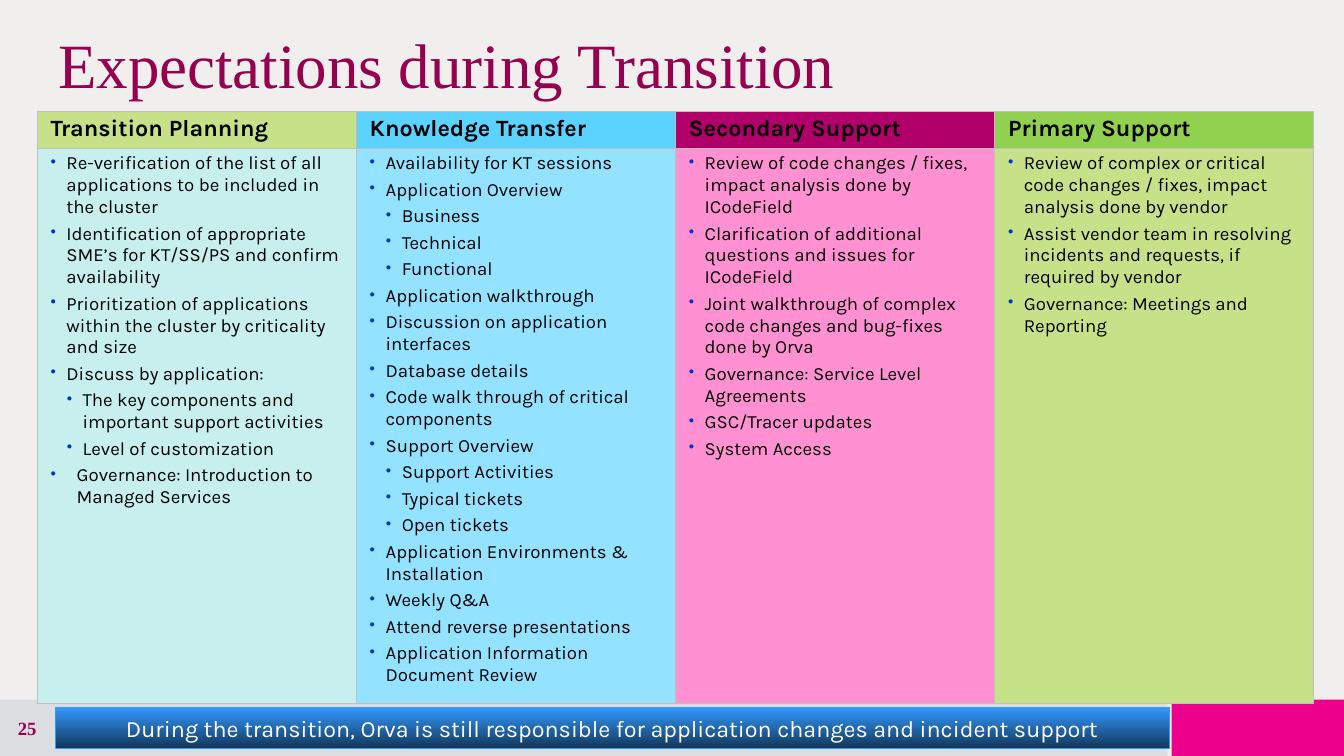
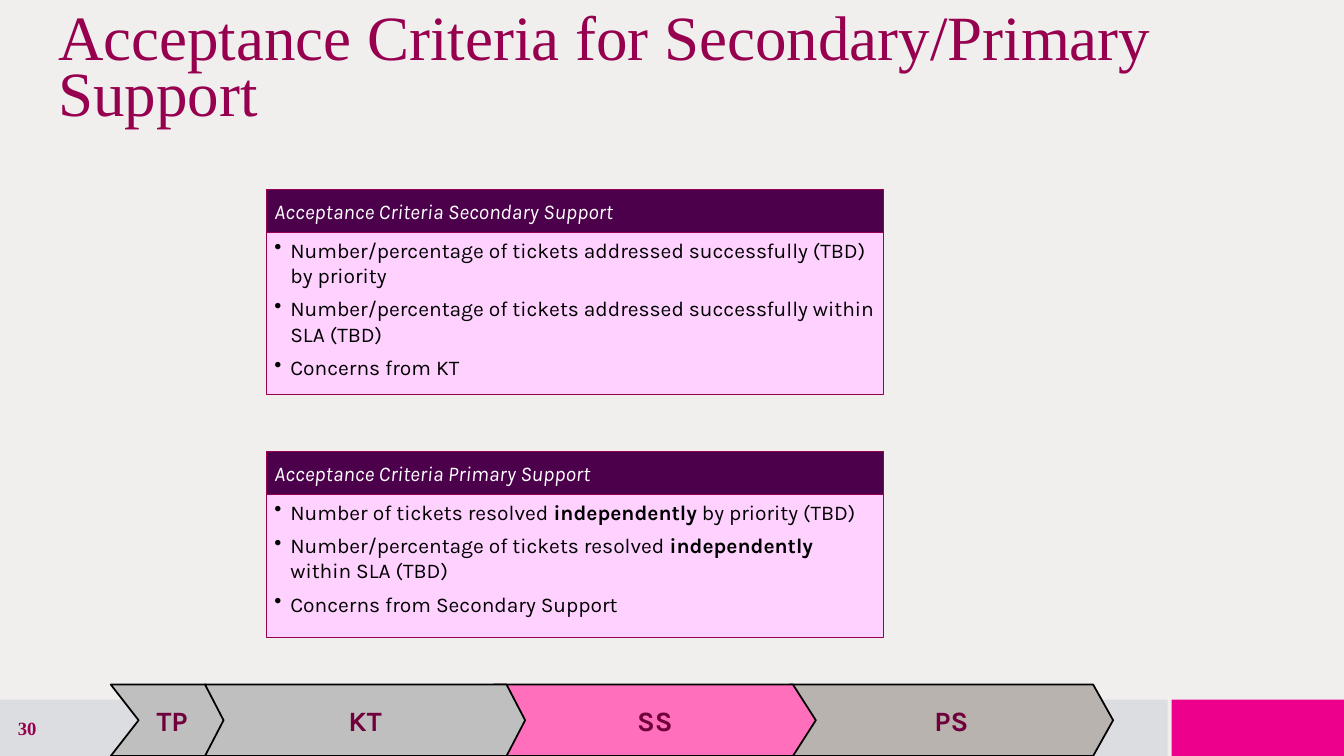
from lxml import etree
from pptx import Presentation
from pptx.dml.color import RGBColor
from pptx.enum.shapes import MSO_SHAPE
from pptx.enum.text import MSO_ANCHOR, PP_ALIGN
from pptx.oxml.ns import qn
from pptx.util import Cm, Pt

RECT, CHEVRON = MSO_SHAPE.RECTANGLE, MSO_SHAPE.CHEVRON
TOP, MIDDLE = MSO_ANCHOR.TOP, MSO_ANCHOR.MIDDLE
LEFT, CENTER = PP_ALIGN.LEFT, PP_ALIGN.CENTER
SERIF, SANS = "Times New Roman", "Karla"
BERRY, PLUM, BLACK, WHITE = "96004F", "4C004C", "000000", "FFFFFF"
BLUE, GREY = "3399FF", "BFBFBF"
BLANK_LAYOUT = 6
# Left margin and hanging indent of each bullet kind, in cm
INDENTS = {"main": (0.48, 0.48), "sub": (0.97, 0.48), "wide": (0.79, 0.79)}


def rgb(value):
    return RGBColor.from_string(value)


def add_xml(parent, tag, **attributes):
    return etree.SubElement(parent, qn(tag), attributes)


class Deck:
    def __init__(self):
        self.deck = Presentation()
        self.deck.slide_width, self.deck.slide_height = Cm(40.64), Cm(22.86)

    def start_page(self, title, number):
        self.page = self.deck.slides.add_slide(self.deck.slide_layouts[BLANK_LAYOUT])
        background = self.page.background.fill
        background.solid()
        background.fore_color.rgb = rgb("F0EFEE")
        # Footer bands
        self.shape(35.43, 21.16, 5.21, 1.7, "EC008C")
        self.shape(0, 21.16, 35.31, 1.7, "DCDDE0")
        # Title and page number
        para = self.label(1.35, 0.79, 38.07, 2.82, title, 54)
        para.line_spacing = Pt(48)
        para = self.label(0, 21.41, 1.65, 1.22, number, 16, bold=True)
        para.alignment = CENTER

    def label(self, left, top, width, height, text, size, bold=False):
        box = self.page.shapes.add_textbox(Cm(left), Cm(top), Cm(width), Cm(height))
        frame = self.frame(box, MIDDLE, 0.41, 0.2)
        para = frame.paragraphs[0]
        self.span(para, text, size, BERRY, SERIF, bold=bold)
        return para

    def frame(self, box, anchor, side=0.25, edge=0.13, wrap=True):
        frame = box.text_frame
        frame.word_wrap = wrap
        frame.vertical_anchor = anchor
        frame.margin_left = frame.margin_right = Cm(side)
        frame.margin_top = frame.margin_bottom = Cm(edge)
        return frame

    def span(self, para, text, size, color, font=SANS, bold=False, italic=False):
        span = para.add_run()
        span.text = text
        span.font.name, span.font.size = font, Pt(size)
        span.font.bold, span.font.italic = bold, italic
        span.font.color.rgb = rgb(color)

    def shape(self, left, top, width, height, fill, line=None, weight=0.75, kind=RECT):
        box = self.page.shapes.add_shape(kind, Cm(left), Cm(top), Cm(width), Cm(height))
        box.shadow.inherit = False
        if isinstance(fill, tuple):
            box.fill.gradient()
            box.fill.gradient_angle = 270
            for stop, color in zip(box.fill.gradient_stops, fill):
                stop.color.rgb = rgb(color)
        else:
            box.fill.solid()
            box.fill.fore_color.rgb = rgb(fill)
        if line:
            box.line.color.rgb = rgb(line)
            box.line.width = Pt(weight)
        else:
            box.line.fill.background()
        return box

    def caption(self, box, text, size, color, align=CENTER, wrap=True, **style):
        para = self.frame(box, MIDDLE, wrap=wrap).paragraphs[0]
        para.alignment = align
        self.span(para, text, size, color, **style)

    def bullets(self, frame, items, size, gap, mark_color=None):
        """Each item is a (kind, spans) pair; every second span is bold."""
        for index, (kind, spans) in enumerate(items):
            para = frame.add_paragraph() if index else frame.paragraphs[0]
            para.alignment = LEFT
            para.space_before = para.space_after = Pt(gap)
            for order, text in enumerate(spans):
                self.span(para, text, size, BLACK, bold=order % 2 == 1)
            margin, hang = INDENTS[kind]
            properties = para._p.get_or_add_pPr()
            properties.set("marL", str(Cm(margin)))
            properties.set("indent", str(-Cm(hang)))
            if mark_color:
                add_xml(add_xml(properties, "a:buClr"), "a:srgbClr", val=mark_color)
                add_xml(properties, "a:buSzPct", val="85000")
            add_xml(properties, "a:buChar", char="•")

    def cell(self, cell, fill, anchor):
        cell.fill.solid()
        cell.fill.fore_color.rgb = rgb(fill)
        cell.vertical_anchor = anchor
        cell.margin_left = cell.margin_right = Cm(0.41)
        cell.margin_top = cell.margin_bottom = Cm(0.15)
        properties = cell._tc.get_or_add_tcPr()
        for index, side in enumerate(("a:lnL", "a:lnR", "a:lnT", "a:lnB")):
            border = add_xml(properties, side, w=str(Pt(0.25)))
            add_xml(add_xml(border, "a:solidFill"), "a:srgbClr", val=GREY)
            properties.insert(index, border)

    def phase_table(self, left, top, width, row_heights, phases):
        table = self.page.shapes.add_table(
            2, len(phases), Cm(left), Cm(top), Cm(width), Cm(sum(row_heights))).table
        table.first_row = table.horz_banding = False
        for row, height in zip(table.rows, row_heights):
            row.height = Cm(height)
        for column, (name, head_fill, body_fill, items) in enumerate(phases):
            head, body = table.cell(0, column), table.cell(1, column)
            self.cell(head, head_fill, MIDDLE)
            para = head.text_frame.paragraphs[0]
            para.line_spacing = 0.9
            self.span(para, name, 20, BLACK, bold=True)
            self.cell(body, body_fill, TOP)
            self.bullets(body.text_frame, items, 16, 2, "0033CC")

    def criteria(self, top, body_height, title, items):
        left, width, head_height = 8.05, 18.67, 1.32
        body = self.shape(left, top + head_height, width, body_height, "FFD1FF", BERRY)
        self.bullets(self.frame(body, TOP), items, 18, 3.6)
        head = self.shape(left, top, width, head_height, PLUM, BERRY)
        self.caption(head, title, 18, WHITE, LEFT, wrap=False, italic=True)

    def chevron(self, left, width, point, fill, text):
        box = self.shape(left, 20.7, width, 2.16, fill, BLACK, 1.5, CHEVRON)
        box.adjustments[0] = point
        self.caption(box, text, 24, "70003B", wrap=False, bold=True)


def main(*texts):
    return [("main", [text]) for text in texts]


def sub(*texts):
    return [("sub", [text]) for text in texts]


PLANNING = main(
    "Re-verification of the list of all applications to be included in the cluster",
    "Identification of appropriate SME’s for KT/SS/PS and confirm availability",
    "Prioritization of applications within the cluster by criticality and size",
    "Discuss by application:",
) + sub(
    "The key components and important support activities",
    "Level of customization",
) + [("wide", ["Governance: Introduction to Managed Services"])]

TRANSFER = main(
    "Availability for KT sessions",
    "Application Overview",
) + sub("Business", "Technical", "Functional") + main(
    "Application walkthrough",
    "Discussion on application interfaces",
    "Database details",
    "Code walk through of critical components",
    "Support Overview",
) + sub("Support Activities", "Typical tickets", "Open tickets") + main(
    "Application Environments & Installation",
    "Weekly Q&A",
    "Attend reverse presentations",
    "Application Information Document Review",
)

SECONDARY = main(
    "Review of code changes / fixes, impact analysis done by ICodeField",
    "Clarification of additional questions and issues for ICodeField",
    "Joint walkthrough of complex code changes and bug-fixes done by Orva",
    "Governance: Service Level Agreements",
    "GSC/Tracer updates",
    "System Access",
)

PRIMARY = main(
    "Review of complex or critical code changes / fixes, impact analysis done by vendor",
    "Assist vendor team in resolving incidents and requests, if required by vendor",
    "Governance: Meetings and Reporting",
)

deck = Deck()

# Slide 1: expectations by phase
deck.start_page("Expectations during Transition", "25")
deck.phase_table(1.12, 3.35, 38.6, (1.12, 16.43), [
    ("Transition Planning", "C7E189", "C7EFED", PLANNING),
    ("Knowledge Transfer", "5CD3FF", "93E2FF", TRANSFER),
    ("Secondary Support", "B10069", "FF91D2", SECONDARY),
    ("Primary Support", "92D050", "C7E189", PRIMARY),
])
banner = deck.shape(1.68, 21.39, 33.68, 1.24, (BLUE, "12375C"), BLUE)
deck.caption(banner, "During the transition, Orva is still responsible for "
             "application changes and incident support", 20, WHITE)

# Slide 2: acceptance criteria
deck.start_page("Acceptance Criteria for Secondary/Primary Support", "30")
deck.criteria(5.72, 4.88, "Acceptance Criteria Secondary Support", main(
    "Number/percentage of tickets addressed successfully (TBD) by priority",
    "Number/percentage of tickets addressed successfully within SLA (TBD)",
    "Concerns from KT",
))
deck.criteria(13.64, 4.32, "Acceptance Criteria Primary Support", [
    ("main", ["Number of tickets resolved ", "independently", " by priority (TBD)"]),
    ("main", ["Number/percentage of tickets resolved ", "independently ",
              "within SLA (TBD)"]),
    ("main", ["Concerns from Secondary Support"]),
])

# Phase chevrons, from back to front
for left, width, point, fill, text in (
    (3.35, 3.71, 0.39, GREY, "TP"),
    (23.88, 9.78, 0.28, "B8B3AF", "PS"),
    (14.94, 9.73, 0.32, "FF6FBB", "SS"),
    (6.2, 9.68, 0.26, GREY, "KT"),
):
    deck.chevron(left, width, point, fill, text)

deck.deck.save("out.pptx")
